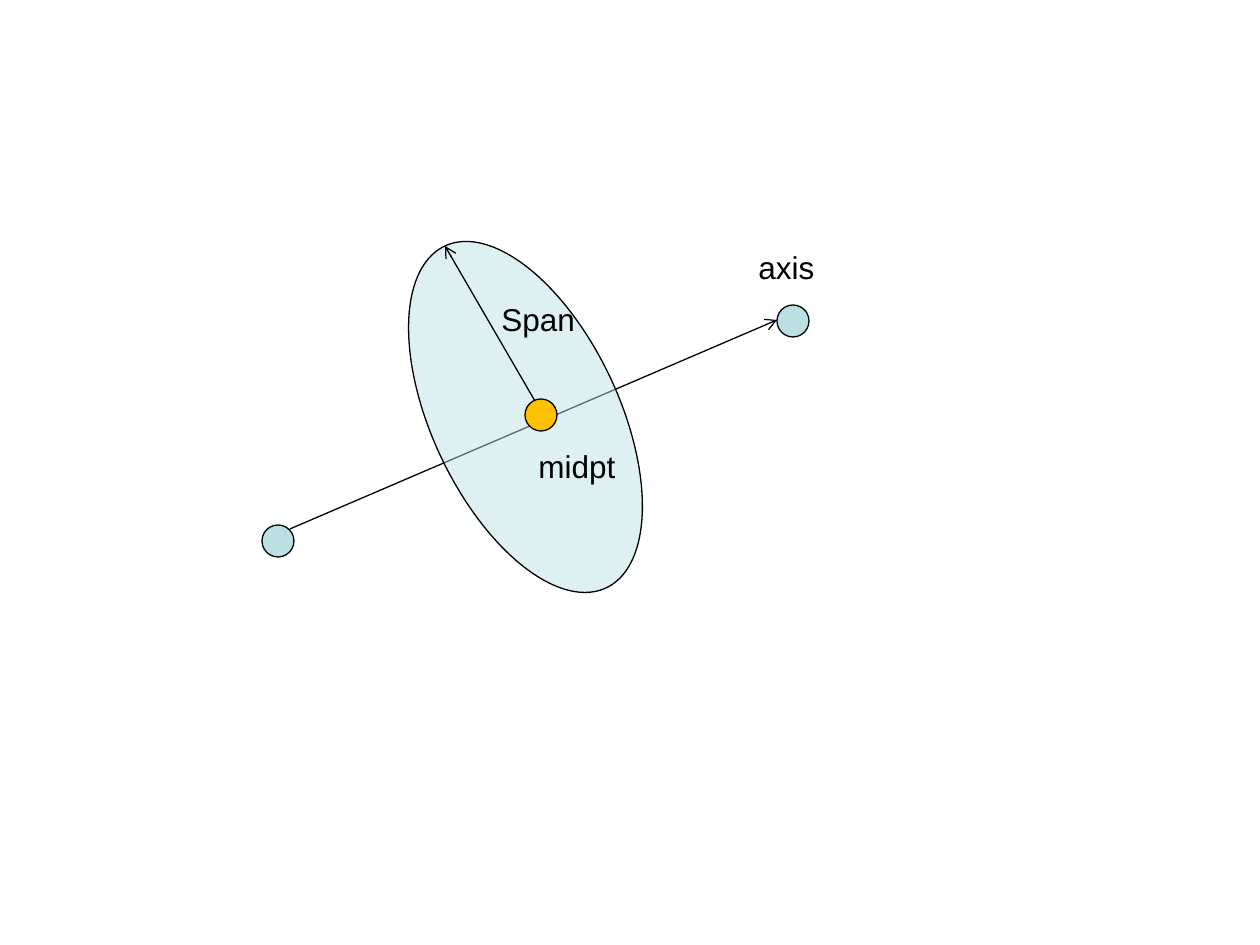
from dataclasses import dataclass

from lxml import etree
from pptx import Presentation
from pptx import util as u
from pptx.dml.color import RGBColor
from pptx.enum import shapes, text
from pptx.oxml.ns import qn

PIXEL = 914400 // 126
DOT_SIZE = 32
LINE_WIDTH = u.Pt(0.74)
COLORS = {"ink": "000000", "pale": "BBE0E3", "gold": "FFC000"}


@dataclass(frozen=True)
class Ellipse:
    left: int
    top: int
    width: int = DOT_SIZE
    height: int = DOT_SIZE
    color: str = "pale"
    rotation: float = 0
    opacity: int = 100


@dataclass(frozen=True)
class Arrow:
    start: tuple[int, int]
    end: tuple[int, int]


@dataclass(frozen=True)
class Label:
    wording: str
    left: int
    top: int
    width: int
    height: int = 50


def px(*lengths: int) -> list[int]:
    return [u.Emu(length * PIXEL) for length in lengths]


def rgb(name: str) -> RGBColor:
    return RGBColor.from_string(COLORS[name])


def draw_ellipse(slide, item: Ellipse) -> None:
    oval = slide.shapes.add_shape(
        shapes.MSO_SHAPE.OVAL, *px(item.left, item.top, item.width, item.height))
    oval.shadow.inherit = False
    oval.rotation = item.rotation
    oval.fill.solid()
    oval.fill.fore_color.rgb = rgb(item.color)
    oval.line.color.rgb = rgb("ink")
    oval.line.width = LINE_WIDTH
    if item.opacity < 100:
        fill = oval._element.spPr.find(qn("a:solidFill"))
        etree.SubElement(fill[0], qn("a:alpha"), val=str(item.opacity * 1000))


def draw_arrow(slide, item: Arrow) -> None:
    arrow = slide.shapes.add_connector(
        shapes.MSO_CONNECTOR.STRAIGHT, *px(*item.start, *item.end))
    arrow.line.color.rgb = rgb("ink")
    arrow.line.width = LINE_WIDTH
    properties = arrow._element.spPr
    etree.SubElement(properties.find(qn("a:ln")), qn("a:tailEnd"), type="arrow")
    etree.SubElement(properties, qn("a:effectLst"))


def draw_label(slide, item: Label) -> None:
    frame = slide.shapes.add_textbox(
        *px(item.left, item.top, item.width, item.height)).text_frame
    frame.word_wrap = False
    frame.auto_size = text.MSO_AUTO_SIZE.SHAPE_TO_FIT_TEXT
    frame.vertical_anchor = text.MSO_ANCHOR.TOP
    paragraph = frame.paragraphs[0]
    paragraph.alignment = text.PP_ALIGN.LEFT
    run = paragraph.add_run()
    run.text = item.wording
    run.font.name = "Arial"
    run.font.size = u.Pt(18)
    run.font.color.rgb = rgb("ink")


presentation = Presentation()
presentation.slide_width, presentation.slide_height = u.Inches(10), u.Inches(7.5)
diagram = presentation.slides.add_slide(presentation.slide_layouts[6])

# Axis between its two end points
for axis_end in (Ellipse(262, 525), Ellipse(777, 305)):
    draw_ellipse(diagram, axis_end)
draw_arrow(diagram, Arrow((290, 529), (777, 320)))

# Translucent disc and its span
draw_ellipse(diagram, Ellipse(432, 228, 187, 378, rotation=334.7, opacity=48))
draw_arrow(diagram, Arrow((546, 420), (445, 246)))

# Labels
for label in (
    Label("axis", 746, 242, 81),
    Label("midpt", 526, 441, 102),
    Label("Span", 489, 294, 99, 88),
):
    draw_label(diagram, label)

# Midpoint on top
draw_ellipse(diagram, Ellipse(525, 399, color="gold"))

presentation.save("out.pptx")
